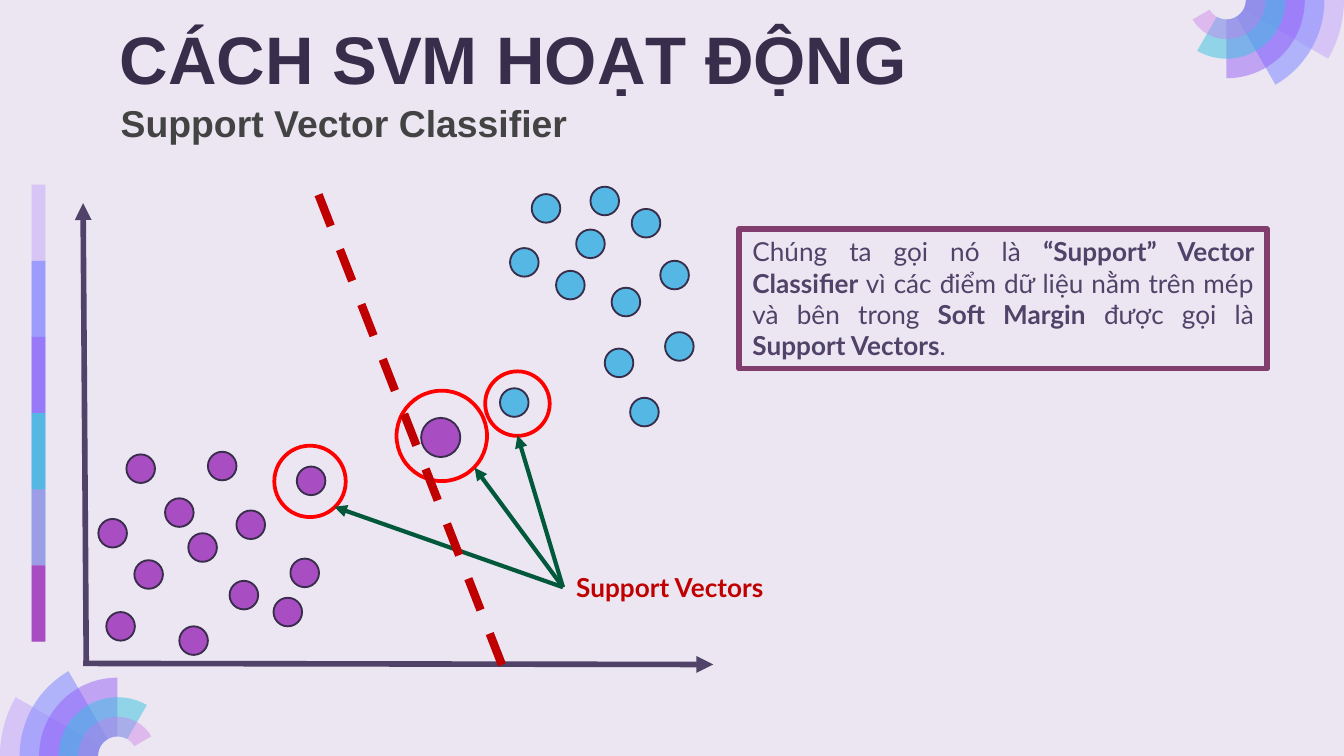
from dataclasses import dataclass
from math import cos, radians, sin, tan
from typing import NamedTuple

from lxml.etree import SubElement
from pptx import Presentation
from pptx.dml.color import RGBColor
from pptx.enum.dml import MSO_LINE_DASH_STYLE as Dash
from pptx.enum.shapes import MSO_CONNECTOR as Connector, MSO_SHAPE as Preset
from pptx.enum.text import MSO_ANCHOR as Anchor, MSO_AUTO_SIZE as AutoSize, PP_ALIGN as Align
from pptx.oxml.ns import qn
from pptx.util import Cm, Pt


@dataclass(frozen=True)
class Theme:
    background: str = "EBE6F1"
    heading: str = "382D4B"
    subheading: str = "434343"
    body: str = "504268"
    accent: str = "C00000"
    panel_border: str = "813D6D"
    ring: str = "FF0000"
    pointer: str = "02583A"
    purple: str = "A94DC2"
    blue: str = "55B8E4"
    heading_font: str = "Arial"
    body_font: str = "Lato"
    title_size: int = 36
    subtitle_size: int = 20
    body_size: int = 14


class Tint(NamedTuple):
    color: str
    opacity: int


class Point(NamedTuple):
    x: float
    y: float


class Circle(NamedTuple):
    center: Point
    diameter: float


THEME = Theme()
FAN_TINTS = [Tint("C8ACFD", 58), Tint("878FFF", 58), Tint("9154F8", 46),
             Tint("35C2DF", 49), Tint("CA7BEB", 42)]
BAR_TINTS = [Tint("C8AEF8", 59), Tint("878FFF", 74), Tint("9154F8", 53),
             Tint("35C2DF", 76), Tint("CA7BEB", 56), Tint("972CB4", 74)]
DOT_DIAMETER = 0.54
PURPLE_DOTS = [
    (2.28, 11.84), (2.81, 10.86), (2.13, 10.08), (2.66, 8.86), (3.39, 9.69),
    (3.83, 10.35), (4.61, 11.25), (3.66, 12.11), (4.2, 8.81), (4.74, 9.92),
    (5.88, 9.09), (5.76, 10.83), (5.44, 11.57)]
BLUE_DOTS = [
    (12.21, 4.22), (12.75, 5.2), (12.84, 6.55), (12.18, 7.79), (9.72, 7.61),
    (11.83, 5.71), (11.7, 6.86), (10.78, 5.39), (11.16, 4.61), (11.43, 3.8),
    (10.32, 3.94), (9.91, 4.96)]
MARGIN_DOT = Circle(Point(8.33, 8.27), 0.74)
RINGS = [Circle(Point(8.35, 8.24), 1.71), Circle(Point(9.78, 7.63), 1.22),
         Circle(Point(5.86, 9.1), 1.35)]
POINTER_TIPS = [Point(8.97, 8.84), Point(6.32, 9.58), Point(9.78, 8.23)]
AXES = [(Point(1.63, 12.55), Point(1.57, 3.84)),
        (Point(1.57, 12.54), Point(13.48, 12.56))]
DIVIDER = (Point(6.02, 3.68), Point(9.55, 12.73))


def rgb(color: str) -> RGBColor:
    return RGBColor.from_string(color)


def paint(shape, tint: Tint | None = None, outline: str | None = None, width: float = 1) -> None:
    """Set fill, opacity and outline; whatever is not given is left clear."""
    shape.shadow.inherit = False
    if tint:
        shape.fill.solid()
        shape.fill.fore_color.rgb = rgb(tint.color)
        if tint.opacity < 100:
            color = next(shape._element.spPr.iter(qn("a:srgbClr")))
            SubElement(color, qn("a:alpha"), val=str(tint.opacity * 1000))
    else:
        shape.fill.background()
    if outline:
        shape.line.color.rgb = rgb(outline)
        shape.line.width = Pt(width)
    else:
        shape.line.fill.background()


def write(shape, text: str, *, font: str, size: int, color: str, bold: bool = False,
          align: Align = Align.LEFT, anchor: Anchor = Anchor.TOP, wrap: bool = True,
          auto_size: AutoSize = AutoSize.SHAPE_TO_FIT_TEXT) -> None:
    """Write one paragraph; each ** in the text switches bold on or off."""
    frame = shape.text_frame
    frame.word_wrap = wrap
    frame.auto_size = auto_size
    frame.vertical_anchor = anchor
    paragraph = frame.paragraphs[0]
    paragraph.alignment = align
    for index, part in enumerate(text.split("**")):
        if part:
            run = paragraph.add_run()
            run.text = part
            run.font.name = font
            run.font.size = Pt(size)
            run.font.color.rgb = rgb(color)
            run.font.bold = bold != (index % 2 == 1)


def add_circle(slide, circle: Circle, fill: str | None, outline: str, width: float) -> None:
    (x, y), diameter = circle
    oval = slide.shapes.add_shape(Preset.OVAL, Cm(x - diameter / 2), Cm(y - diameter / 2),
                                  Cm(diameter), Cm(diameter))
    paint(oval, Tint(fill, 100) if fill else None, outline, width)


def add_line(slide, start: Point, end: Point, color: str, width: float,
             arrow: bool = True, dash: Dash | None = None):
    line = slide.shapes.add_connector(Connector.STRAIGHT, Cm(start.x), Cm(start.y),
                                      Cm(end.x), Cm(end.y))
    line.line.color.rgb = rgb(color)
    line.line.width = Pt(width)
    if dash:
        line.line.dash_style = dash
    properties = line._element.spPr
    if arrow:
        SubElement(properties.find(qn("a:ln")), qn("a:tailEnd"), type="triangle")
    SubElement(properties, qn("a:effectLst"))
    return line


def arc_points(center: Point, radius: float, stops: list[int]) -> list[tuple[int, int]]:
    """Give the start, then two handles and an end for each arc between stops."""
    def place(angle: int, pull: float = 0) -> tuple[int, int]:
        turn = radians(angle)
        return (Cm(center.x + radius * (cos(turn) - pull * sin(turn))),
                Cm(center.y + radius * (sin(turn) + pull * cos(turn))))

    points = [place(stops[0])]
    for start, end in zip(stops, stops[1:]):
        pull = 4 / 3 * tan(radians(end - start) / 4)
        points += [place(start, pull), place(end, -pull), place(end)]
    return points


def bend(path, segments: list) -> None:
    """Turn each run of three straight segments into one cubic curve."""
    for first in range(0, len(segments), 3):
        trio = segments[first:first + 3]
        curve = SubElement(path, qn("a:cubicBezTo"))
        trio[0].addprevious(curve)
        for segment in trio:
            curve.append(segment[0])
            path.remove(segment)


def add_fan(slide, center: Point, turn: int) -> None:
    """Draw ring sectors that get 30 degrees wider as their radius shrinks."""
    ring_width = 0.37
    for index, tint in enumerate(FAN_TINTS):
        sweep = 30 * (index + 1)
        stops = [180 + turn + angle for angle in sorted({0, min(sweep, 90), sweep})]
        outer = arc_points(center, ring_width * (6 - index), stops)
        inner = arc_points(center, ring_width, stops[::-1])
        builder = slide.shapes.build_freeform(*outer[0])
        builder.add_line_segments(outer[1:] + inner, close=True)
        sector = builder.convert_to_shape()
        path = next(sector._element.iter(qn("a:path")))
        segments = path.findall(qn("a:lnTo"))
        bend(path, segments[:len(outer) - 1])
        bend(path, segments[len(outer):len(outer) + len(inner) - 1])
        paint(sector, tint)


def add_color_bar(slide) -> None:
    """Stack translucent bars, each reaching halfway over the next one."""
    step, top = 1.44, 3.49
    for index, tint in enumerate(BAR_TINTS):
        height = step if index == len(BAR_TINTS) - 1 else 2 * step
        bar = slide.shapes.add_shape(Preset.RECTANGLE, Cm(0.6), Cm(top + index * step),
                                     Cm(0.26), Cm(height))
        paint(bar, tint)


def add_headings(slide) -> None:
    title = slide.shapes.title
    title.left, title.top, title.width, title.height = Cm(2.01), Cm(0.08), Cm(21.41), Cm(1.6)
    frame = title.text_frame
    frame.margin_left = frame.margin_right = frame.margin_top = frame.margin_bottom = Cm(0.25)
    write(title, "CÁCH SVM HOẠT ĐỘNG", font=THEME.heading_font, size=THEME.title_size,
          color=THEME.heading, bold=True, auto_size=AutoSize.NONE)
    subtitle = slide.shapes.add_textbox(Cm(2.03), Cm(1.76), Cm(9.96), Cm(1.11))
    write(subtitle, "Support Vector Classifier", font=THEME.heading_font,
          size=THEME.subtitle_size, color=THEME.subheading, bold=True)


def add_explanation(slide) -> None:
    panel = slide.shapes.add_shape(Preset.RECTANGLE, Cm(13.97), Cm(4.33), Cm(9.98), Cm(2.64))
    paint(panel, outline=THEME.panel_border, width=3)
    write(panel, "Chúng ta gọi nó là **“Support” Vector Classifier **vì các điểm dữ liệu nằm "
          "trên mép và bên trong** Soft Margin** được gọi là **Support Vectors**.",
          font=THEME.body_font, size=THEME.body_size, color=THEME.body, align=Align.JUSTIFY)


def add_scatter(slide) -> None:
    for ring in RINGS:
        add_circle(slide, ring, None, THEME.ring, 2)
    label = slide.shapes.add_textbox(Cm(10.64), Cm(10.67), Cm(4.52), Cm(0.86))
    write(label, "Support Vectors", font=THEME.body_font, size=THEME.body_size,
          color=THEME.accent, bold=True, wrap=False)
    for tip in POINTER_TIPS:
        pointer = add_line(slide, Point(10.64, 11.1), tip, THEME.pointer, 2.25)
        pointer.begin_connect(label, 1)
    for start, end in AXES:
        add_line(slide, start, end, THEME.body, 3)
    for centers, color in ((PURPLE_DOTS, THEME.purple), (BLUE_DOTS, THEME.blue)):
        for center in centers:
            add_circle(slide, Circle(Point(*center), DOT_DIAMETER), color, THEME.heading, 1)
    add_circle(slide, MARGIN_DOT, THEME.purple, THEME.heading, 1)
    add_line(slide, *DIVIDER, THEME.accent, 4.5, arrow=False, dash=Dash.DASH)


def main() -> None:
    deck = Presentation()
    deck.slide_width, deck.slide_height = Cm(25.4), Cm(14.29)
    slide = deck.slides.add_slide(deck.slide_layouts[5])
    slide.background.fill.solid()
    slide.background.fill.fore_color.rgb = rgb(THEME.background)
    add_fan(slide, Point(2.22, 14.29), turn=0)
    add_fan(slide, Point(23.18, 0), turn=180)
    add_headings(slide)
    add_color_bar(slide)
    add_explanation(slide)
    add_scatter(slide)
    deck.save("out.pptx")


if __name__ == "__main__":
    main()
